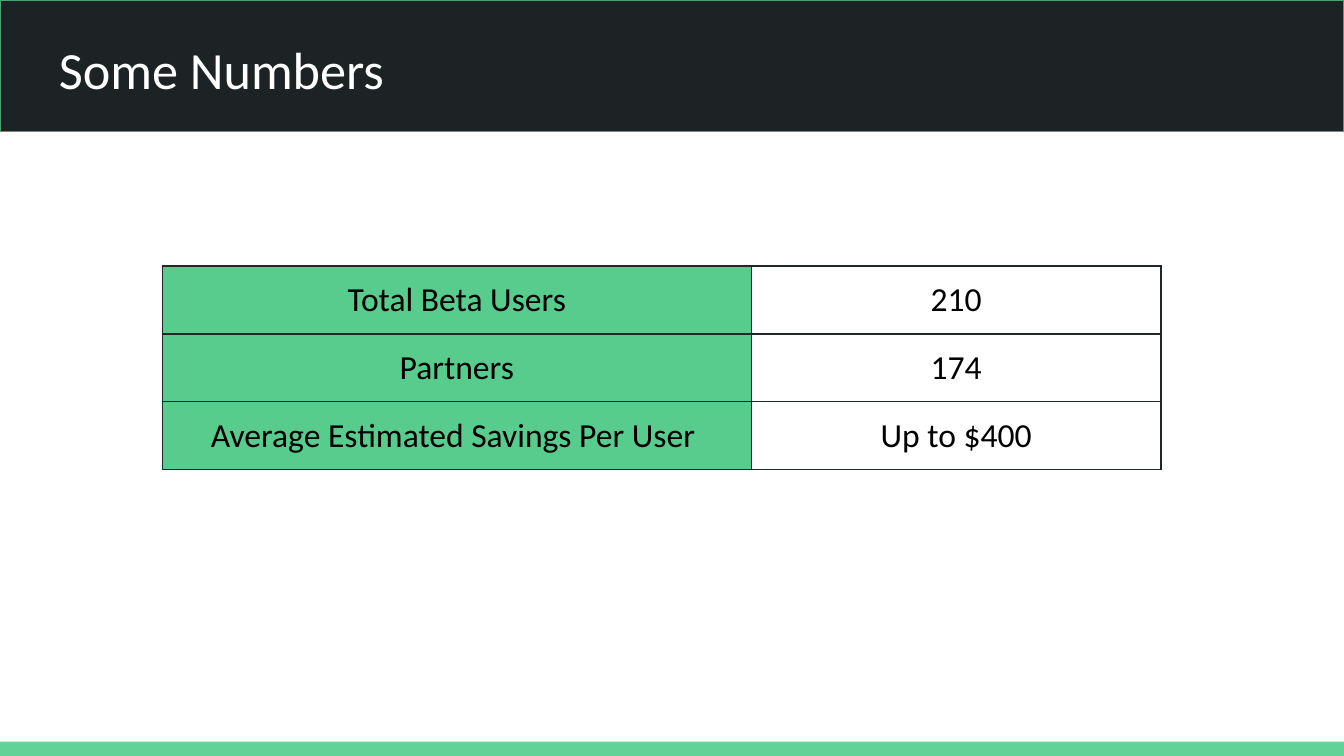
from lxml.etree import SubElement as Sub
from pptx import Presentation
from pptx.dml.color import RGBColor
from pptx.enum.shapes import MSO_SHAPE as Shape
from pptx.enum.text import MSO_ANCHOR as Anchor, PP_ALIGN as Align
from pptx.oxml.ns import qn
from pptx.util import Pt

WIDE, HIGH = 720, 405
PAD = 7.2
FONT = "Calibri"
ROWS = [
    ("Total Beta Users", "210"),
    ("Partners", "174"),
    ("Average Estimated Savings Per User ", "Up to $400"),
]


def paint(item, color):
    item.solid()
    item.fore_color.rgb = RGBColor.from_string(color)


def style(para, size, color):
    para.font.size = Pt(size)
    para.font.name = FONT
    paint(para.font.fill, color)


def pad(box):
    box.margin_left = box.margin_right = Pt(PAD)
    box.margin_top = box.margin_bottom = Pt(PAD)


def add_bar(slide, top, height, color, edge=None):
    bar = slide.shapes.add_shape(
        Shape.RECTANGLE, Pt(0), Pt(top), Pt(WIDE), Pt(height))
    bar.shadow.inherit = False
    paint(bar.fill, color)
    if edge:
        paint(bar.line.fill, edge)
        bar.line.width = Pt(0.75)
    else:
        bar.line.fill.background()


def add_title(slide, text):
    box = slide.shapes.add_textbox(Pt(24.5), Pt(13), Pt(671), Pt(45.4))
    frame = box.text_frame
    frame.word_wrap = True
    pad(frame)
    frame.text = text
    style(frame.paragraphs[0], 28, "FFFFFF")


def add_edges(cell, color, width):
    props = cell._tc.get_or_add_tcPr()
    for spot, side in enumerate(("lnL", "lnR", "lnT", "lnB")):
        line = Sub(props, qn(f"a:{side}"), w=str(Pt(width)))
        Sub(Sub(line, qn("a:solidFill")), qn("a:srgbClr"), val=color)
        props.insert(spot, line)  # borders come before the fill


def add_grid(slide, rows, widths, height):
    frame = slide.shapes.add_table(
        len(rows), len(widths), Pt(87), Pt(142.5),
        Pt(sum(widths)), Pt(height * len(rows)))
    table = frame.table
    table.first_row = table.horz_banding = False
    for col, width in zip(table.columns, widths):
        col.width = Pt(width)
    for row, texts in zip(table.rows, rows):
        row.height = Pt(height)
        for spot, (cell, text) in enumerate(zip(row.cells, texts)):
            pad(cell)
            cell.vertical_anchor = Anchor.TOP
            cell.text_frame.text = text
            para = cell.text_frame.paragraphs[0]
            para.alignment = Align.CENTER
            style(para, 18, "000000")
            # Only the label column is filled
            if spot == 0:
                paint(cell.fill, "58CC8C")
            else:
                cell.fill.background()
            add_edges(cell, "202729", 0.75)


def main():
    deck = Presentation()
    deck.slide_width, deck.slide_height = Pt(WIDE), Pt(HIGH)
    slide = deck.slides.add_slide(deck.slide_layouts[6])
    paint(slide.background.fill, "FFFFFF")

    # Footer strip and header band
    add_bar(slide, HIGH - 7.6, 7.6, "63D297")
    add_bar(slide, 0, 70.5, "1D2325", "4BA173")
    add_title(slide, "Some Numbers")

    # Key figures
    add_grid(slide, ROWS, (315.5, 219.5), 36.4)

    deck.save("out.pptx")


if __name__ == "__main__":
    main()
